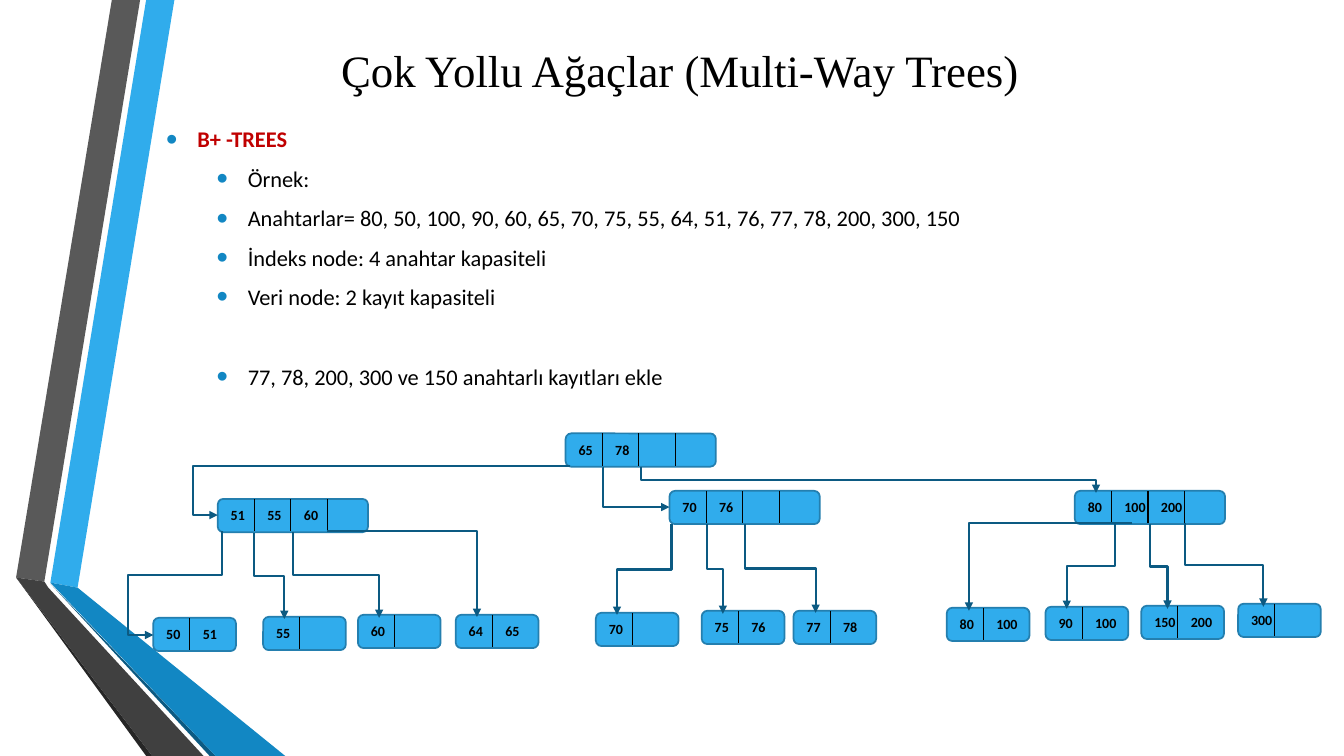
from lxml import etree
from pptx import Presentation
from pptx.dml.color import RGBColor
from pptx.enum import shapes, text
from pptx.oxml.ns import qn
from pptx.util import Inches, Pt

BLACK = RGBColor(0x00, 0x00, 0x00)
RED = RGBColor(0xC0, 0x00, 0x00)
SKY = RGBColor(0x30, 0xAC, 0xEC)
NODE_EDGE = RGBColor(0x24, 0x7F, 0xAF)
BLUE = RGBColor(0x12, 0x87, 0xC3)
DEEP_BLUE = RGBColor(0x0C, 0x5A, 0x82)
GREY = RGBColor(0x59, 0x59, 0x59)
DARK_GREY = RGBColor(0x40, 0x40, 0x40)
NEAR_BLACK = RGBColor(0x26, 0x26, 0x26)

CELL_W, NODE_H = 0.363, 0.33
INDEX_W, LEAF_W = 1.49, 0.82

RIBBONS = [
    (SKY, [(0.5, 5.78), (0.77, 5.83), (1.73, 0), (1.45, 0)]),
    (GREY, [(1.39, 0), (1.11, 0), (0.16, 5.73), (0.44, 5.77)]),
    (NEAR_BLACK, [(0.16, 5.73), (1.45, 7.5), (1.51, 7.5)]),
    (DEEP_BLUE, [(0.5, 5.79), (2.08, 7.5), (2.14, 7.5)]),
    (BLUE, [(0.5, 5.78), (2.14, 7.5), (2.83, 7.5), (0.77, 5.83)]),
    (DARK_GREY, [(2.02, 7.5), (0.48, 5.83), (0.44, 5.77), (0.16, 5.73), (1.51, 7.5)]),
]

# Text, outline level, colour, space before in points
BULLETS = [
    ("B+ -TREES", 0, RED, 0),
    ("Örnek:", 1, BLACK, 0),
    ("Anahtarlar= 80, 50, 100, 90, 60, 65, 70, 75, 55, 64, 51, 76, 77, 78, 200, 300, 150",
     1, BLACK, 0),
    ("İndeks node: 4 anahtar kapasiteli", 1, BLACK, 0),
    ("Veri node: 2 kayıt kapasiteli", 1, BLACK, 0),
    ("77, 78, 200, 300 ve 150 anahtarlı kayıtları ekle", 1, BLACK, 28.7),
]

# Left, top, keys
INDEX_NODES = [
    (5.61, 4.3, (65, 78)),
    (2.16, 4.95, (51, 55, 60)),
    (6.64, 4.87, (70, 76)),
    (10.66, 4.87, (80, 100, 200)),
]
LEAVES = [
    (1.52, 6.13, (50, 51)), (2.61, 6.12, (55,)), (3.55, 6.1, (60,)), (4.52, 6.1, (64, 65)),
    (5.91, 6.08, (70,)), (6.96, 6.06, (75, 76)), (7.87, 6.06, (77, 78)),
    (9.39, 6.03, (80, 100)), (10.37, 6.02, (90, 100)), (11.32, 6.01, (150, 200)),
    (12.28, 5.99, (300,)),
]

# Start and end of the links that leave downwards and turn halfway
DOWN_LINKS = [
    ((6.36, 4.63), (10.87, 4.89)),
    ((2.52, 5.29), (2.82, 6.14)), ((2.91, 5.28), (3.76, 6.13)),
    ((6.66, 5.2), (6.12, 6.1)), ((7.01, 5.2), (7.17, 6.09)), ((7.39, 5.2), (8.09, 6.08)),
    ((11.06, 5.19), (10.58, 6.04)), ((11.41, 5.2), (11.58, 6.04)),
    ((11.75, 5.19), (12.53, 6.02)),
]
# Start, end, number of the bent preset, bends; these leave sideways
SIDE_LINKS = [
    ((5.65, 4.62), (2.16, 5.11), 3, [1.07]),
    ((5.99, 4.64), (6.64, 5.03), 3, [-0.02]),
    ((3.24, 5.27), (4.73, 6.12), 2, []),
    ((11.23, 5.19), (9.61, 6.06), 2, []),
]


def add_ribbon(slide, color, points):
    corners = [(Inches(x), Inches(y)) for x, y in points]
    builder = slide.shapes.build_freeform(*corners[0], scale=1.0)
    builder.add_line_segments(corners[1:], close=True)
    ribbon = builder.convert_to_shape()
    ribbon.shadow.inherit = False
    ribbon.fill.solid()
    ribbon.fill.fore_color.rgb = color
    ribbon.line.fill.background()


def add_frame(slide, left, top, width, height):
    box = slide.shapes.add_textbox(Inches(left), Inches(top), Inches(width), Inches(height))
    box.text_frame.word_wrap = True
    return box.text_frame


def style(paragraph, size, color, font="Calibri", bold=False):
    paragraph.font.size = Pt(size)
    paragraph.font.name = font
    paragraph.font.bold = bold
    paragraph.font.color.rgb = color


def add_title(slide):
    title = add_frame(slide, 1.55, 0.17, 10.39, 1.04)
    title.vertical_anchor = text.MSO_ANCHOR.MIDDLE
    title.text = "Çok Yollu Ağaçlar (Multi-Way Trees)"
    title.paragraphs[0].alignment = text.PP_ALIGN.CENTER
    style(title.paragraphs[0], 32, BLACK, "Times New Roman")


def add_bullets(slide):
    body = add_frame(slide, 1.55, 1.07, 10.87, 3.23)
    body.text = "\n".join(item[0] for item in BULLETS)
    for paragraph, (_, level, color, before) in zip(body.paragraphs, BULLETS):
        paragraph.level = level
        paragraph.alignment = text.PP_ALIGN.JUSTIFY
        paragraph.line_spacing = 1.47
        if before:
            paragraph.space_before = Pt(before)
        props = paragraph._p.get_or_add_pPr()
        props.set("marL", str(Inches(0.31 + 0.5 * level)))
        props.set("indent", str(Inches(-0.31)))
        bullet_color = etree.SubElement(props, qn("a:buClr"))
        etree.SubElement(bullet_color, qn("a:srgbClr"), val=str(BLUE))
        etree.SubElement(props, qn("a:buSzPct"), val="145000")
        etree.SubElement(props, qn("a:buFont"), typeface="Arial")
        etree.SubElement(props, qn("a:buChar"), char="•")
        style(paragraph, 16, color, bold=level == 0)


def add_line(slide, kind, start, end, color, width):
    line = slide.shapes.add_connector(kind, *(Inches(v) for v in (*start, *end)))
    line.line.color.rgb = color
    line.line.width = Pt(width)
    etree.SubElement(line._element.spPr, qn("a:effectLst"))
    return line


def add_node(slide, left, top, keys, width, cells):
    node = slide.shapes.add_shape(shapes.MSO_SHAPE.ROUNDED_RECTANGLE, Inches(left),
                                  Inches(top), Inches(width), Inches(NODE_H))
    node.shadow.inherit = False
    node.fill.solid()
    node.fill.fore_color.rgb = SKY
    node.line.color.rgb = NODE_EDGE
    node.line.width = Pt(1.25)
    for cell in range(1, cells):
        x = left + cell * CELL_W
        add_line(slide, shapes.MSO_CONNECTOR.STRAIGHT, (x, top), (x, top + 0.32), BLACK, 0.75)
    for cell, key in enumerate(keys):
        label = add_frame(slide, left + 0.03 + cell * CELL_W, top + 0.03, 0.45, 0.27)
        label.text = str(key)
        style(label.paragraphs[0], 10, BLACK, bold=True)


def add_link(slide, start, end, preset=3, bends=(0.5,), downward=True):
    """Draw a bent arrow; a downward one is a sideways one turned by a quarter."""
    dx, dy = end[0] - start[0], end[1] - start[1]
    width, height = (dy, abs(dx)) if downward else (abs(dx), dy)
    left = (start[0] + end[0] - width) / 2
    top = (start[1] + end[1] - height) / 2
    link = add_line(slide, shapes.MSO_CONNECTOR.ELBOW, (left, top),
                    (left + width, top + height), DEEP_BLUE, 1.5)
    etree.SubElement(link.line._get_or_add_ln(), qn("a:tailEnd"), type="triangle")
    if downward:
        turn, flip = (90, None) if dx < 0 else (270, "flipH")
    else:
        turn, flip = (180, "flipV") if dx < 0 else (0, None)
    frame = link._element.spPr.find(qn("a:xfrm"))
    frame.set("rot", str(turn * 60000))
    if flip:
        frame.set(flip, "1")
    geometry = link._element.spPr.find(qn("a:prstGeom"))
    geometry.set("prst", f"bentConnector{preset}")
    guides = geometry.find(qn("a:avLst"))
    for number, bend in enumerate(bends, 1):
        etree.SubElement(guides, qn("a:gd"), name=f"adj{number}",
                         fmla=f"val {round(bend * 100000)}")


def main():
    deck = Presentation()
    deck.slide_width, deck.slide_height = Inches(13.33), Inches(7.5)
    slide = deck.slides.add_slide(deck.slide_layouts[6])

    # Side decoration
    for color, points in RIBBONS:
        add_ribbon(slide, color, points)

    # Title and explanation
    add_title(slide)
    add_bullets(slide)

    # Tree nodes
    for left, top, keys in INDEX_NODES:
        add_node(slide, left, top, keys, INDEX_W, 4)
    for left, top, keys in LEAVES:
        add_node(slide, left, top, keys, LEAF_W, 2)

    # Links from parents to children
    for start, end in DOWN_LINKS:
        add_link(slide, start, end)
    add_link(slide, (2.2, 5.27), (1.52, 6.3), 4, (0.42, 1.37))
    for start, end, preset, bends in SIDE_LINKS:
        add_link(slide, start, end, preset, bends, downward=False)

    deck.save("out.pptx")


if __name__ == "__main__":
    main()
